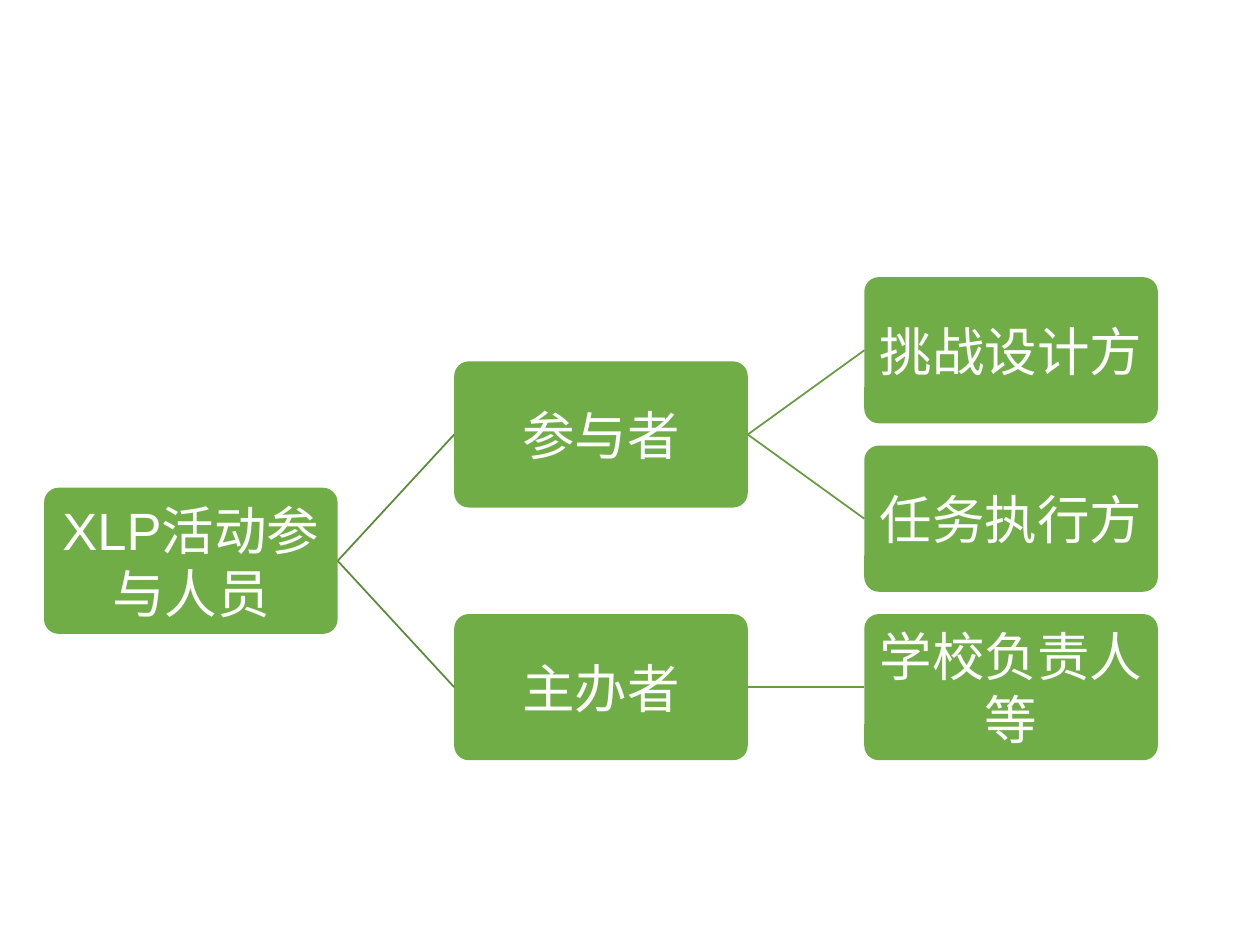
from dataclasses import dataclass
from typing import Optional

from lxml import etree
from pptx import Presentation, util as u
from pptx.dml.color import RGBColor
from pptx.enum import shapes, text
from pptx.oxml.ns import qn


@dataclass(frozen=True)
class Theme:
    node: str = "70AD47"
    label: str = "FFFFFF"
    branches: tuple[str, ...] = ("5A8B39", "669D40")
    font: str = "Arial"
    size: float = 30
    line_width: float = 1


@dataclass(frozen=True)
class Grid:
    left: float = 0.35
    top: float = 2.2
    column_step: float = 3.255
    row_step: float = 1.337
    box_width: float = 2.33
    box_height: float = 1.16
    inset: float = 0.05
    corner: float = 0.1


@dataclass(frozen=True)
class Node:
    label: str
    column: int
    row: float
    parent: Optional[str] = None


THEME = Theme()
GRID = Grid()
ROOT, PARTICIPANTS, HOSTS = "XLP活动参与人员", "参与者", "主办者"
NODES = (
    Node(ROOT, 0, 1.25),
    Node(PARTICIPANTS, 1, 0.5, ROOT),
    Node("挑战设计方", 2, 0, PARTICIPANTS),
    Node("任务执行方", 2, 1, PARTICIPANTS),
    Node(HOSTS, 1, 2, ROOT),
    Node("学校负责人等", 2, 2, HOSTS),
)
LEFT_SITE, RIGHT_SITE = 1, 3


def color(value: str) -> RGBColor:
    return RGBColor.from_string(value)


def draw_node(page, node: Node):
    box = page.shapes.add_shape(
        shapes.MSO_SHAPE.ROUNDED_RECTANGLE,
        u.Inches(GRID.left + node.column * GRID.column_step),
        u.Inches(GRID.top + node.row * GRID.row_step),
        u.Inches(GRID.box_width),
        u.Inches(GRID.box_height),
    )
    box.adjustments[0] = GRID.corner
    box.shadow.inherit = False
    box.fill.solid()
    box.fill.fore_color.rgb = color(THEME.node)
    box.line.fill.background()
    frame = box.text_frame
    frame.word_wrap = True
    frame.vertical_anchor = text.MSO_ANCHOR.MIDDLE
    frame.margin_left = frame.margin_right = u.Inches(GRID.inset)
    frame.margin_top = frame.margin_bottom = u.Inches(GRID.inset)
    para = frame.paragraphs[0]
    para.alignment = text.PP_ALIGN.CENTER
    span = para.add_run()
    span.text = node.label
    span.font.name = THEME.font
    span.font.size = u.Pt(THEME.size)
    span.font.color.rgb = color(THEME.label)
    return box


def draw_branch(page, parent, child, line_color: str) -> None:
    branch = page.shapes.add_connector(shapes.MSO_CONNECTOR.STRAIGHT, 0, 0, 0, 0)
    branch.begin_connect(parent, RIGHT_SITE)
    branch.end_connect(child, LEFT_SITE)
    branch.line.color.rgb = color(line_color)
    branch.line.width = u.Pt(THEME.line_width)
    etree.SubElement(branch._element.spPr, qn("a:effectLst"))


def main() -> None:
    deck = Presentation()
    deck.slide_width, deck.slide_height = u.Inches(10), u.Inches(7.5)
    page = deck.slides.add_slide(deck.slide_layouts[6])
    boxes = {}
    for node in NODES:
        boxes[node.label] = draw_node(page, node)
        if node.parent:
            line_color = THEME.branches[node.column - 1]
            draw_branch(page, boxes[node.parent], boxes[node.label], line_color)
    deck.save("out.pptx")


if __name__ == "__main__":
    main()
